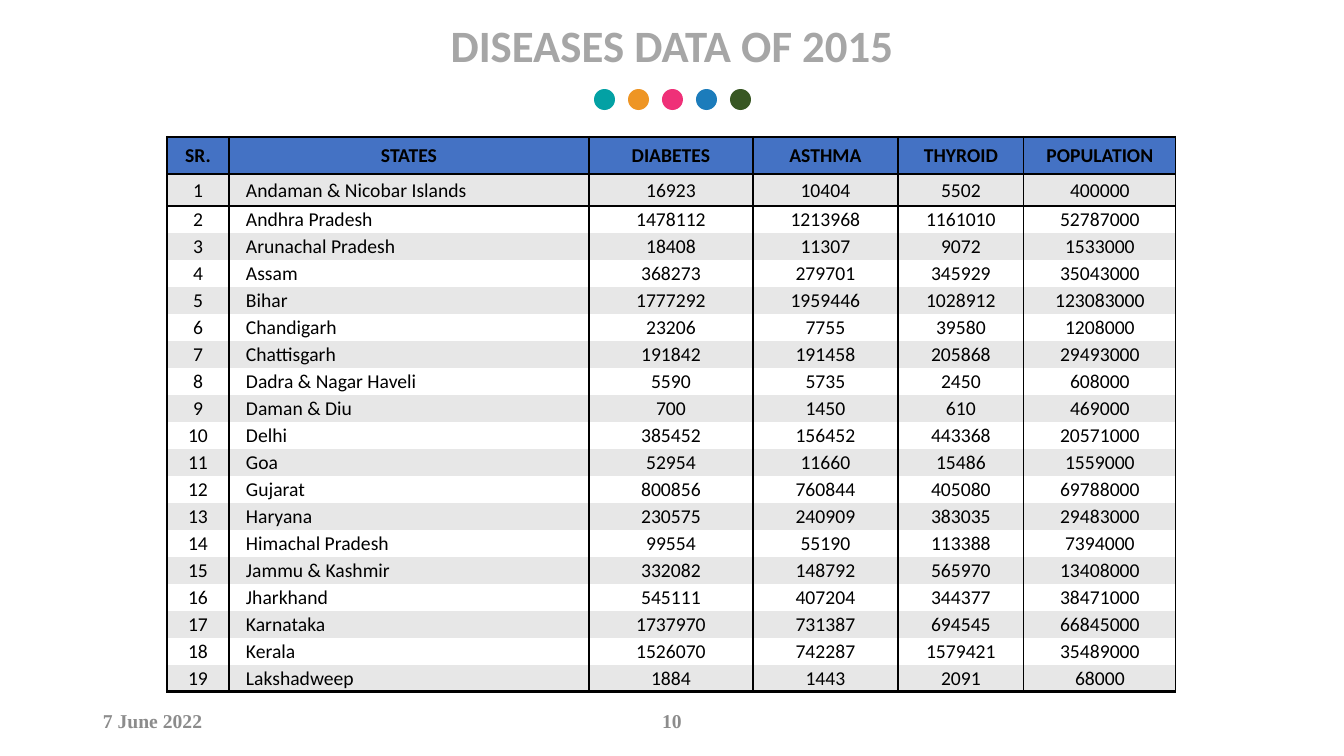
"""Build the slide with the 2015 disease figures by state."""
import dataclasses

import pptx
import pptx.dml.color
import pptx.enum.shapes
import pptx.enum.text
import pptx.oxml
import pptx.oxml.ns
import pptx.util

EMU_PER_INCH = 914400
PX_PER_INCH = 100.8
NO_TABLE_STYLE = "{2D5ABB26-0587-4C30-8999-92F81FD0307C}"
ALIGN = pptx.enum.text.PP_ALIGN

HEADERS = ["SR.", "STATES", "DIABETES", "ASTHMA", "THYROID", "POPULATION"]
STATES = [
    ("Andaman & Nicobar Islands", 16923, 10404, 5502, 400000),
    ("Andhra Pradesh", 1478112, 1213968, 1161010, 52787000),
    ("Arunachal Pradesh", 18408, 11307, 9072, 1533000),
    ("Assam", 368273, 279701, 345929, 35043000),
    ("Bihar", 1777292, 1959446, 1028912, 123083000),
    ("Chandigarh", 23206, 7755, 39580, 1208000),
    ("Chattisgarh", 191842, 191458, 205868, 29493000),
    ("Dadra & Nagar Haveli", 5590, 5735, 2450, 608000),
    ("Daman & Diu", 700, 1450, 610, 469000),
    ("Delhi", 385452, 156452, 443368, 20571000),
    ("Goa", 52954, 11660, 15486, 1559000),
    ("Gujarat", 800856, 760844, 405080, 69788000),
    ("Haryana", 230575, 240909, 383035, 29483000),
    ("Himachal Pradesh", 99554, 55190, 113388, 7394000),
    ("Jammu & Kashmir", 332082, 148792, 565970, 13408000),
    ("Jharkhand", 545111, 407204, 344377, 38471000),
    ("Karnataka", 1737970, 731387, 694545, 66845000),
    ("Kerala", 1526070, 742287, 1579421, 35489000),
    ("Lakshadweep", 1884, 1443, 2091, 68000),
]


@dataclasses.dataclass(frozen=True)
class Theme:
    body_font: str = "Calibri"
    footer_font: str = "Times New Roman"
    title_size: int = 32
    body_size: int = 14
    title_color: str = "A6A6A6"
    footer_color: str = "8C8C8C"
    ink: str = "000000"
    header_fill: str = "4472C4"
    band_fills: tuple = ("E7E7E7", "FFFFFF")
    dots: tuple = ("03A1A4", "EE9524", "EF3078", "1C7CBB", "385723")


def px(length):
    return pptx.util.Emu(round(length * EMU_PER_INCH / PX_PER_INCH))


def rgb(color):
    return pptx.dml.color.RGBColor.from_string(color)


def write(frame, text, *, font, size, color, bold=False, align=ALIGN.LEFT,
          line_spacing=None, indent=0):
    paragraph = frame.paragraphs[0]
    paragraph.alignment = align
    paragraph.line_spacing = line_spacing
    if indent:
        paragraph._p.get_or_add_pPr().set("marL", str(px(indent)))
    run = paragraph.add_run()
    run.text = text
    run.font.name = font
    run.font.size = pptx.util.Pt(size)
    run.font.bold = bold
    run.font.color.rgb = rgb(color)


class SlideBuilder:
    def __init__(self, slide, theme):
        self.slide = slide
        self.theme = theme

    def text(self, text, left, top, width, height, **text_format):
        box = self.slide.shapes.add_textbox(px(left), px(top), px(width), px(height))
        box.text_frame.word_wrap = True
        box.text_frame.vertical_anchor = pptx.enum.text.MSO_ANCHOR.MIDDLE
        write(box.text_frame, text, **text_format)

    def footer(self, text, left, align):
        self.text(text, left, 701, 302, 40, font=self.theme.footer_font,
                  size=self.theme.body_size, color=self.theme.footer_color,
                  bold=True, align=align)

    def dots(self, left, top, diameter, pitch):
        group = self.slide.shapes.add_group_shape()
        for index, color in enumerate(self.theme.dots):
            dot = group.shapes.add_shape(
                pptx.enum.shapes.MSO_SHAPE.OVAL, px(left + index * pitch), px(top),
                px(diameter), px(diameter))
            dot.shadow.inherit = False
            dot.fill.solid()
            dot.fill.fore_color.rgb = rgb(color)
            dot.line.fill.background()

    def borders(self, cell, widths):
        properties = cell._tc.get_or_add_tcPr()
        namespace = pptx.oxml.ns.nsdecls("a")
        for position, (side, points) in enumerate(widths.items()):
            line = pptx.oxml.parse_xml(
                f'<a:ln{side} {namespace} w="{pptx.util.Pt(points)}"><a:solidFill>'
                f'<a:srgbClr val="{self.theme.ink}"/></a:solidFill></a:ln{side}>')
            properties.insert(position, line)

    def cell(self, cell, text, fill, widths, **text_format):
        cell.margin_left = cell.margin_right = cell.margin_top = px(1)
        cell.margin_bottom = 0
        cell.vertical_anchor = pptx.enum.text.MSO_ANCHOR.MIDDLE
        cell.fill.solid()
        cell.fill.fore_color.rgb = rgb(fill)
        self.borders(cell, widths)
        write(cell.text_frame, text, font=self.theme.body_font,
              size=self.theme.body_size, color=self.theme.ink, **text_format)

    def table(self, rows, left, top, column_widths, row_heights):
        table = self.slide.shapes.add_table(
            len(rows), len(column_widths), px(left), px(top),
            px(sum(column_widths)), px(sum(row_heights))).table
        table._tbl.tblPr[0].text = NO_TABLE_STYLE
        for column, width in zip(table.columns, column_widths):
            column.width = px(width)
        for row, height in zip(table.rows, row_heights):
            row.height = px(height)
        for row_index, values in enumerate(rows):
            header = row_index == 0
            fill = self.theme.header_fill if header else self.theme.band_fills[(row_index - 1) % 2]
            widths = {"L": 1, "R": 1}
            if row_index <= 1:
                widths["T"] = 2
            if header or row_index == len(rows) - 1:
                widths["B"] = 2
            for column_index, value in enumerate(values):
                state_name = column_index == 1 and not header
                self.cell(table.cell(row_index, column_index), str(value), fill, widths,
                          bold=header, align=ALIGN.LEFT if state_name else ALIGN.CENTER,
                          indent=16 if state_name else 0)


def main():
    presentation = pptx.Presentation()
    presentation.slide_width = px(1344)
    presentation.slide_height = px(756)
    theme = Theme()
    builder = SlideBuilder(presentation.slides.add_slide(presentation.slide_layouts[6]), theme)
    builder.dots(594, 89, 21, 34)
    builder.text("DISEASES DATA OF 2015", 0, 18, 1344, 59, font=theme.body_font,
                 size=theme.title_size, color=theme.title_color, bold=True,
                 align=ALIGN.CENTER, line_spacing=0.9)
    builder.footer("7 June 2022", 93, ALIGN.LEFT)
    builder.footer("10", 521, ALIGN.CENTER)
    rows = [HEADERS] + [(number, *state) for number, state in enumerate(STATES, 1)]
    builder.table(rows, 167, 137, [62, 360, 164, 145, 126, 152],
                  [37, 32] + [27] * (len(rows) - 2))
    presentation.save("out.pptx")


if __name__ == "__main__":
    main()
